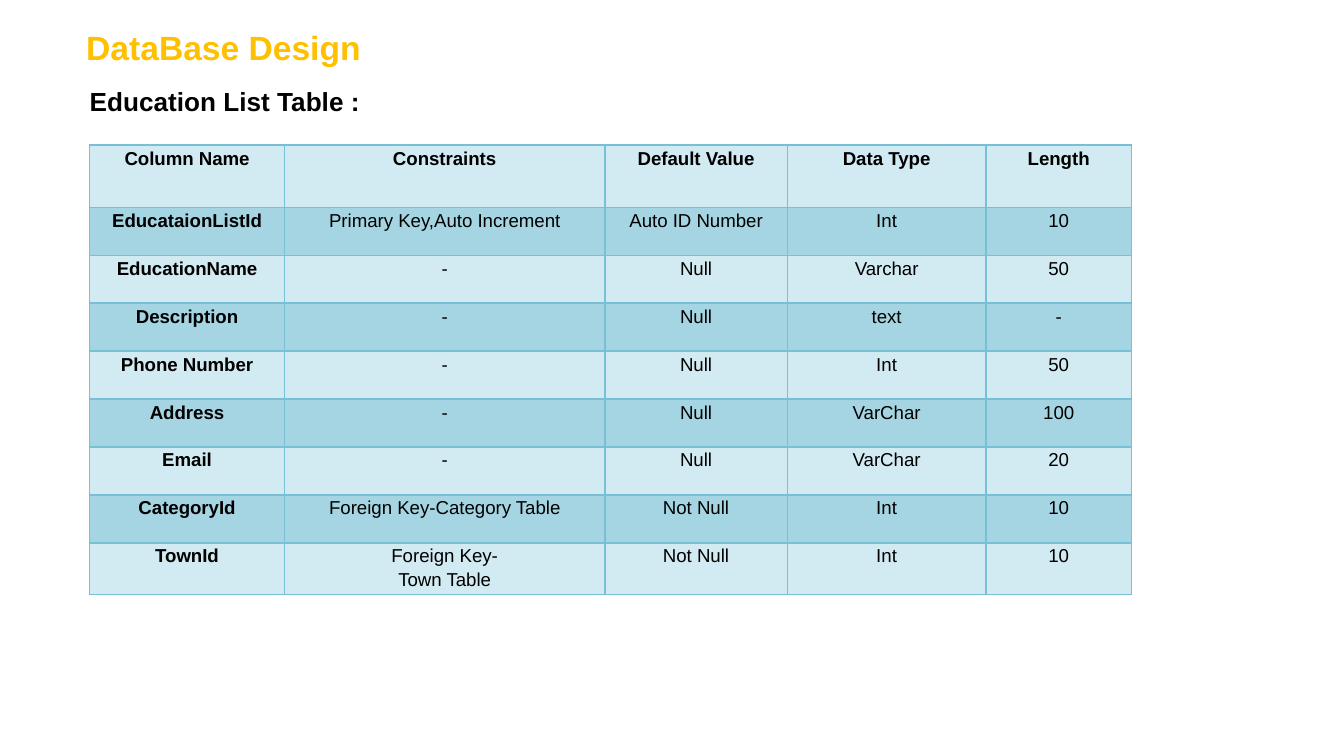
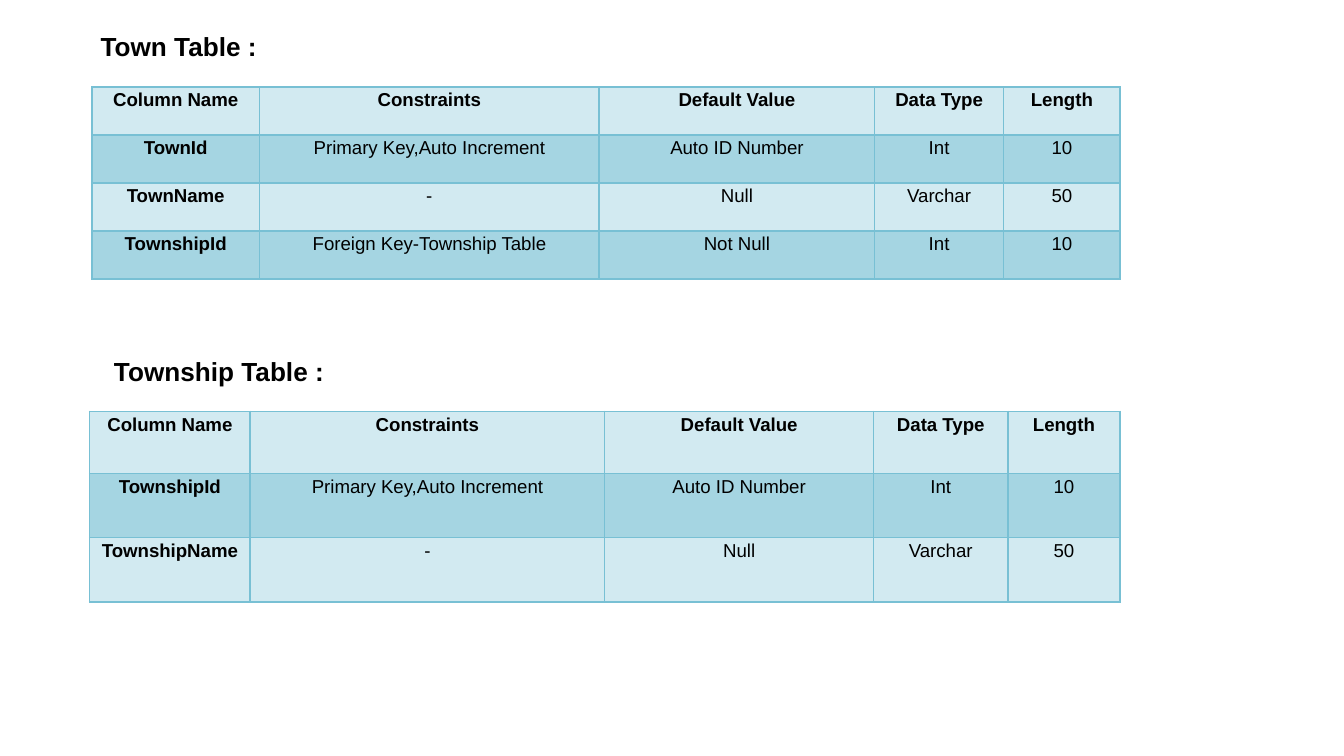
import pptx
import pptx.util
import pptx.dml.color
import pptx.enum.text
import pptx.oxml
import pptx.oxml.ns

Pt = pptx.util.Pt
RGB = pptx.dml.color.RGBColor.from_string
PP_ALIGN = pptx.enum.text.PP_ALIGN
ANCHOR = pptx.enum.text.MSO_ANCHOR

THEME = {
    "font": "Arial",
    "title_color": "FFC000", "text": "000000", "border": "78C0D4",
    "bands": ("D2EAF1", "A5D5E2"),
    "title": 18, "heading": 14, "cell": 10,
}
TITLE_ONLY, BLANK = 5, 6
HEADING_SIZE = (259.2, 28)

HEADER = ("Column Name", "Constraints", "Default Value", "Data Type", "Length")

EDUCATION = {
    "heading": "Education List Table :", "heading_at": (41, 42.2),
    "at": (48, 77.8), "margin": 4.3,
    "cols": (104.4, 171.6, 97.8, 106.4, 78), "header_height": 33.3, "row_height": 25.7,
    "rows": [
        ("EducataionListId", "Primary Key,Auto Increment", "Auto ID Number", "Int", "10"),
        ("EducationName", "-", "Null", "Varchar", "50"),
        ("Description", "-", "Null", "text", "-"),
        ("Phone Number", "-", "Null", "Int", "50"),
        ("Address", "-", "Null", "VarChar", "100"),
        ("Email", "-", "Null", "VarChar", "20"),
        ("CategoryId", "Foreign Key-Category Table", "Not Null", "Int", "10"),
        ("TownId", "Foreign Key-\nTown Table", "Not Null", "Int", "10"),
    ],
}
TOWN = {
    "heading": "Town Table :", "heading_at": (46.8, 12.7),
    "at": (49.2, 46.6), "margin": 5,
    "cols": (89.8, 182, 147.6, 69, 62.6), "header_height": 25.7, "row_height": 25.7,
    "rows": [
        ("TownId", "Primary Key,Auto Increment", "Auto ID Number", "Int", "10"),
        ("TownName", "-", "Null", "Varchar", "50"),
        ("TownshipId", "Foreign Key-Township Table", "Not Null", "Int", "10"),
    ],
}
TOWNSHIP = {
    "heading": "Township Table :", "heading_at": (54, 186.6),
    "at": (48, 220.4), "margin": 5,
    "cols": (86, 190, 144, 72, 60), "header_height": 33.3, "row_height": 34.4,
    "rows": [
        ("TownshipId", "Primary Key,Auto Increment", "Auto ID Number", "Int", "10"),
        ("TownshipName", "-", "Null", "Varchar", "50"),
    ],
}
SLIDES = [
    {"title": "DataBase Design", "tables": [EDUCATION]},
    {"title": None, "tables": [TOWN, TOWNSHIP]},
]


def style(p, size, color, bold, align=PP_ALIGN.LEFT):
    p.alignment = align
    p.font.name = THEME["font"]
    p.font.size = Pt(size)
    p.font.bold = bold
    p.font.color.rgb = RGB(color)


def add_title(slide, text):
    sp = slide.shapes.title
    sp.left, sp.top, sp.width, sp.height = Pt(39), Pt(4.4), Pt(350.6), Pt(42)
    tf = sp.text_frame
    tf.text = text
    tf.vertical_anchor = ANCHOR.MIDDLE
    style(tf.paragraphs[0], THEME["title"], THEME["title_color"], True)


def add_heading(slide, text, at):
    tf = slide.shapes.add_textbox(*map(Pt, at + HEADING_SIZE)).text_frame
    tf.word_wrap = True
    tf.text = text
    style(tf.paragraphs[0], THEME["heading"], THEME["text"], True)


def add_borders(cell):
    tc_pr = cell._tc.get_or_add_tcPr()
    for i, side in enumerate("LRTB"):
        tc_pr.insert(i, pptx.oxml.parse_xml(
            f'<a:ln{side} {pptx.oxml.ns.nsdecls("a")} w="{Pt(1)}"><a:solidFill>'
            f'<a:srgbClr val="{THEME["border"]}"/></a:solidFill></a:ln{side}>'))


def fill_cell(cell, text, band, bold, margin):
    cell.fill.solid()
    cell.fill.fore_color.rgb = RGB(THEME["bands"][band])
    cell.margin_left = cell.margin_right = Pt(margin)
    cell.margin_top = cell.margin_bottom = 0
    cell.vertical_anchor = ANCHOR.TOP
    cell.text_frame.text = text
    for p in cell.text_frame.paragraphs:
        p.line_spacing = 1.15
        style(p, THEME["cell"], THEME["text"], bold, PP_ALIGN.CENTER)
    add_borders(cell)


def add_schema(slide, schema):
    add_heading(slide, schema["heading"], schema["heading_at"])
    rows = [HEADER] + schema["rows"]
    heights = [schema["header_height"]] + [schema["row_height"]] * len(schema["rows"])
    size = (sum(schema["cols"]), sum(heights))
    table = slide.shapes.add_table(
        len(rows), len(HEADER), *map(Pt, schema["at"] + size)).table
    table.horz_banding = False
    for col, width in zip(table.columns, schema["cols"]):
        col.width = Pt(width)
    for r, (row, height) in enumerate(zip(rows, heights)):
        table.rows[r].height = Pt(height)
        for c, text in enumerate(row):
            fill_cell(table.cell(r, c), text, r % 2, r == 0 or c == 0, schema["margin"])


def main():
    prs = pptx.Presentation()
    prs.slide_width, prs.slide_height = Pt(720), Pt(405)
    for content in SLIDES:
        layout = TITLE_ONLY if content["title"] else BLANK
        slide = prs.slides.add_slide(prs.slide_layouts[layout])
        if content["title"]:
            add_title(slide, content["title"])
        for schema in content["tables"]:
            add_schema(slide, schema)
    prs.save("out.pptx")


if __name__ == "__main__":
    main()
